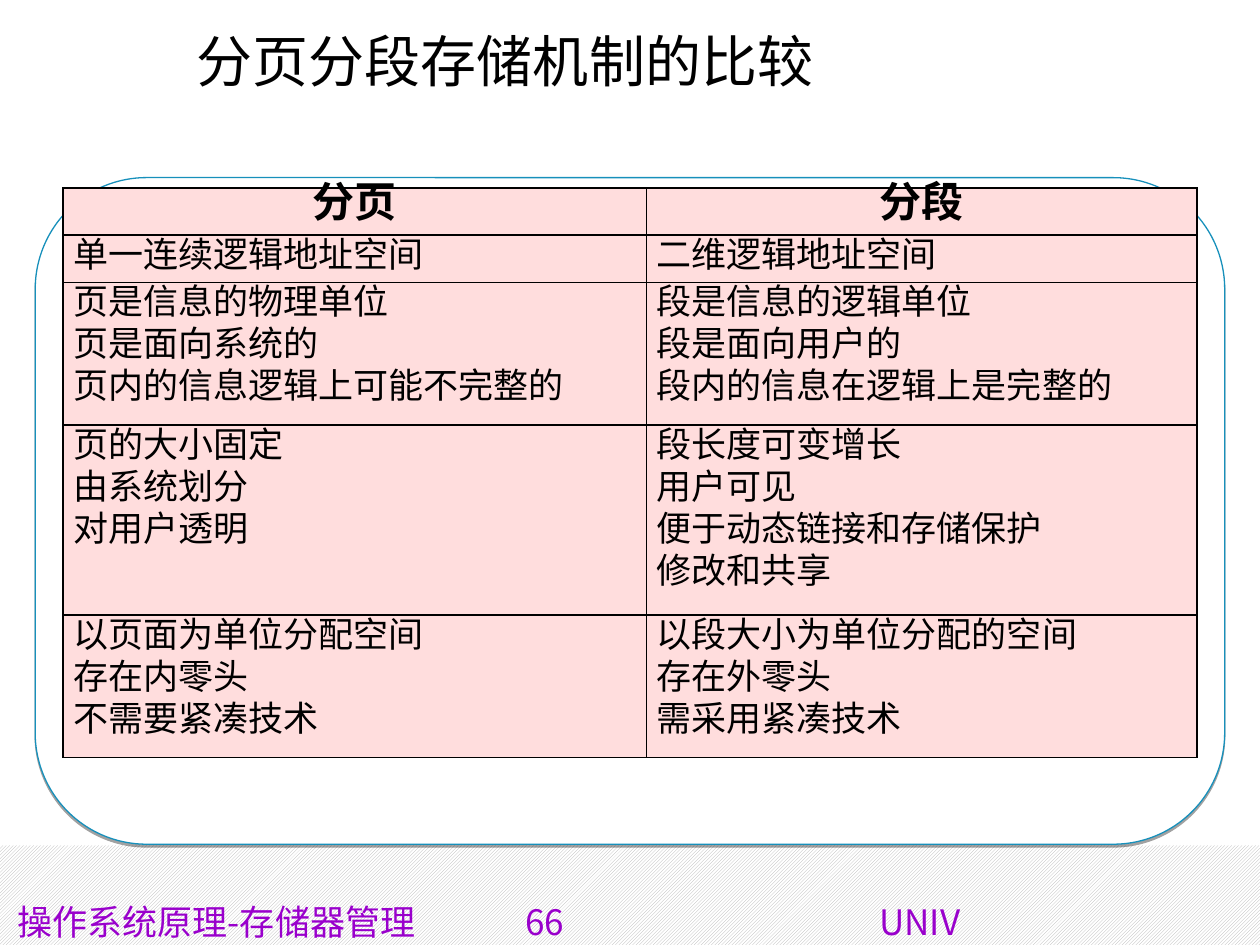
from lxml import etree
from pptx import Presentation
from pptx.dml.color import RGBColor
from pptx.enum.dml import MSO_PATTERN
from pptx.enum.shapes import MSO_SHAPE
from pptx.enum.text import MSO_ANCHOR, PP_ALIGN
from pptx.oxml import parse_xml
from pptx.oxml.ns import nsdecls, qn
from pptx.util import Inches, Pt

RECTANGLE, ROUNDED = MSO_SHAPE.RECTANGLE, MSO_SHAPE.ROUNDED_RECTANGLE
HATCH = MSO_PATTERN.DARK_UPWARD_DIAGONAL
TOP = MSO_ANCHOR.TOP
LEFT, CENTER = PP_ALIGN.LEFT, PP_ALIGN.CENTER
BLACK = RGBColor(0x00, 0x00, 0x00)
WHITE = RGBColor(0xFF, 0xFF, 0xFF)
GREY = RGBColor(0xB2, 0xB2, 0xB2)
BLUE = RGBColor(0x17, 0x90, 0xBB)
PURPLE = RGBColor(0x99, 0x00, 0xCC)
PINK = RGBColor(0xFF, 0xDD, 0xDD)
SANS, SERIF = "Noto Sans CJK SC", "Times New Roman"
WIDTH, HEIGHT = 10, 7.5
LINE_PITCH = 24
ROW_UNIT = 0.377
ROW_UNITS = (1, 1, 3, 4, 3)
COLUMN_WIDTHS = (4.63, 4.37)
COMPARISON = [
    (["分页"], ["分段"]),
    (["单一连续逻辑地址空间"], ["二维逻辑地址空间"]),
    (["页是信息的物理单位", "页是面向系统的", "页内的信息逻辑上可能不完整的"],
     ["段是信息的逻辑单位", "段是面向用户的", "段内的信息在逻辑上是完整的"]),
    (["页的大小固定", "由系统划分", "对用户透明"],
     ["段长度可变增长", "用户可见", "便于动态链接和存储保护", "修改和共享"]),
    (["以页面为单位分配空间", "存在内零头", "不需要紧凑技术"],
     ["以段大小为单位分配的空间", "存在外零头", "需采用紧凑技术"]),
]


def box(left, top, width, height):
    """Turn inches into the four lengths of a frame."""
    return [Inches(value) for value in (left, top, width, height)]


def write(frame, lines, size, color=BLACK, font=SANS, bold=False, align=LEFT, pitch=None):
    """Fill a text frame with one formatted paragraph per line."""
    frame.word_wrap = True
    for index, line in enumerate(lines):
        paragraph = frame.add_paragraph() if index else frame.paragraphs[0]
        paragraph.alignment = align
        if pitch:
            paragraph.line_spacing = Pt(pitch)
        run = paragraph.add_run()
        run.text = line
        run.font.size, run.font.bold, run.font.name = Pt(size), bold, font
        run.font.color.rgb = color
        east_asian = etree.SubElement(run.font._element, qn("a:ea"))
        east_asian.set("typeface", SANS)


def add_footer_band(slide):
    """Draw the hatched band along the bottom."""
    band = slide.shapes.add_shape(RECTANGLE, *box(0, 6.71, WIDTH, HEIGHT - 6.71))
    band.shadow.inherit = False
    band.fill.patterned()
    band.fill.pattern = HATCH
    band.fill.fore_color.rgb = GREY
    band.fill.back_color.rgb = WHITE
    band.line.fill.background()


def add_panel(slide):
    """Draw the rounded panel with its thin lower shadow."""
    panel = slide.shapes.add_shape(ROUNDED, *box(0.28, 1.41, WIDTH - 0.56, 5.29))
    panel.adjustments[0] = 0.167
    panel.fill.solid()
    panel.fill.fore_color.rgb = WHITE
    panel.line.color.rgb = BLUE
    panel.line.width = Pt(0.75)
    panel._element.spPr.append(parse_xml(
        f'<a:effectLst {nsdecls("a")}><a:outerShdw blurRad="0" dist="{Pt(1.6)}" '
        'dir="5400000" rotWithShape="0"><a:srgbClr val="000000">'
        '<a:alpha val="37000"/></a:srgbClr></a:outerShdw></a:effectLst>'))


def add_footer(slide, parts, stops):
    """Write the footer parts on one line, set at tab stops."""
    frame = slide.shapes.add_textbox(*box(0.04, 7.1, WIDTH, 0.4)).text_frame
    write(frame, ["\t".join(parts)], 20, color=PURPLE)
    tabs = etree.SubElement(frame.paragraphs[0]._p.get_or_add_pPr(), qn("a:tabLst"))
    for stop in stops:
        etree.SubElement(tabs, qn("a:tab"), pos=str(Inches(stop)), algn="l")


def add_title(slide, text):
    """Place and fill the title placeholder."""
    title = slide.shapes.title
    title.left, title.top, title.width, title.height = box(0.5, 0.16, 7.02, 1.24)
    title.text_frame.vertical_anchor = TOP
    write(title.text_frame, [text], 32, align=CENTER)


def format_cell(cell):
    """Give a cell its fill, margins and black borders."""
    cell.margin_left = cell.margin_right = Inches(0.08)
    cell.margin_top = cell.margin_bottom = 0
    cell.vertical_anchor = TOP
    properties = cell._tc.get_or_add_tcPr()
    for side in ("lnL", "lnR", "lnT", "lnB"):
        properties.append(parse_xml(
            f'<a:{side} {nsdecls("a")} w="{Pt(1)}"><a:solidFill>'
            f'<a:srgbClr val="{BLACK}"/></a:solidFill></a:{side}>'))
    cell.fill.solid()
    cell.fill.fore_color.rgb = PINK


def add_comparison(slide):
    """Build the two-column comparison table."""
    frame = box(0.5, 1.49, sum(COLUMN_WIDTHS), ROW_UNIT * sum(ROW_UNITS))
    table = slide.shapes.add_table(len(COMPARISON), len(COLUMN_WIDTHS), *frame).table
    table.horz_banding = False
    for column, width in zip(table.columns, COLUMN_WIDTHS):
        column.width = Inches(width)
    for row_index, (units, entries) in enumerate(zip(ROW_UNITS, COMPARISON)):
        table.rows[row_index].height = Inches(ROW_UNIT * units)
        header = row_index == 0
        for column_index, lines in enumerate(entries):
            cell = table.cell(row_index, column_index)
            format_cell(cell)
            write(cell.text_frame, lines, 24 if header else 20, font=SERIF, bold=header,
                  align=CENTER if header else LEFT, pitch=LINE_PITCH)


def main():
    """Build the slide and save it."""
    presentation = Presentation()
    presentation.slide_width, presentation.slide_height = Inches(WIDTH), Inches(HEIGHT)
    slide = presentation.slides.add_slide(presentation.slide_layouts[5])
    add_footer_band(slide)
    add_panel(slide)
    add_footer(slide, ["操作系统原理-存储器管理", "66", "UNIV"], [4.03, 6.84])
    add_title(slide, "分页分段存储机制的比较")
    add_comparison(slide)
    presentation.save("out.pptx")


if __name__ == "__main__":
    main()
